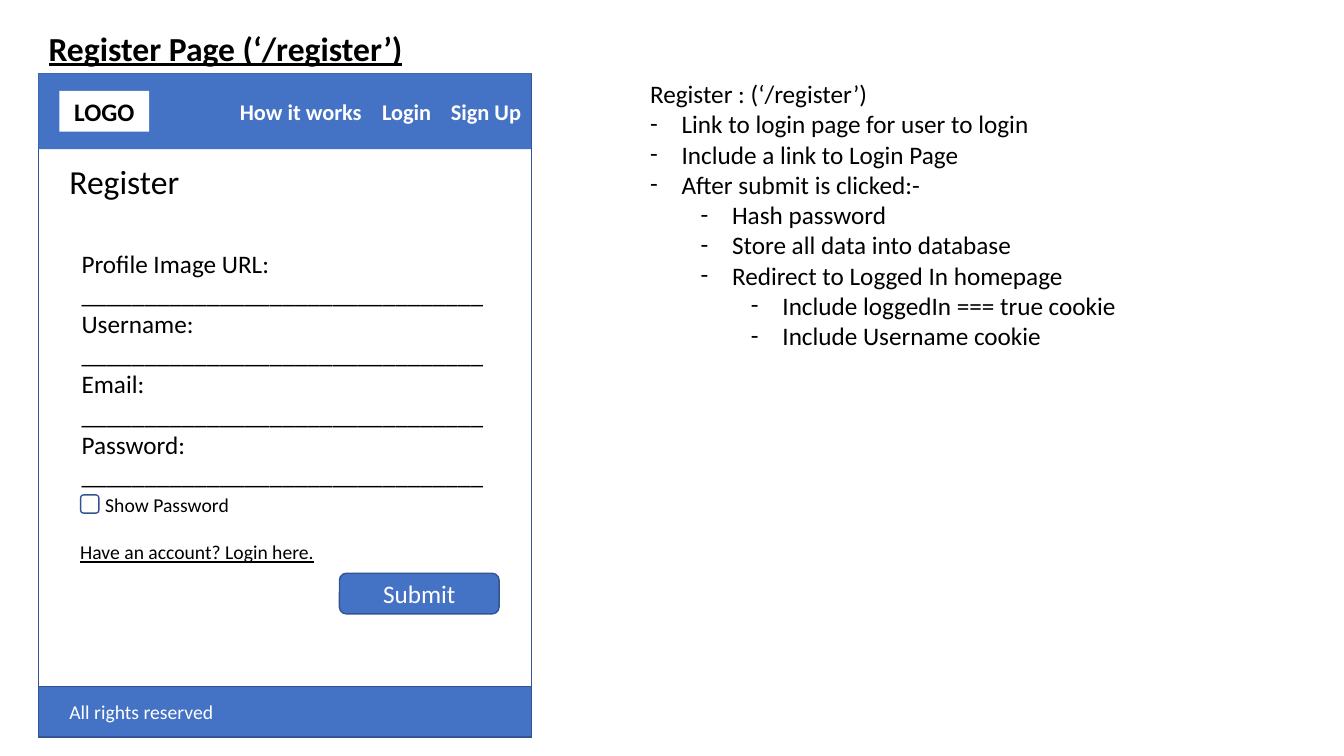
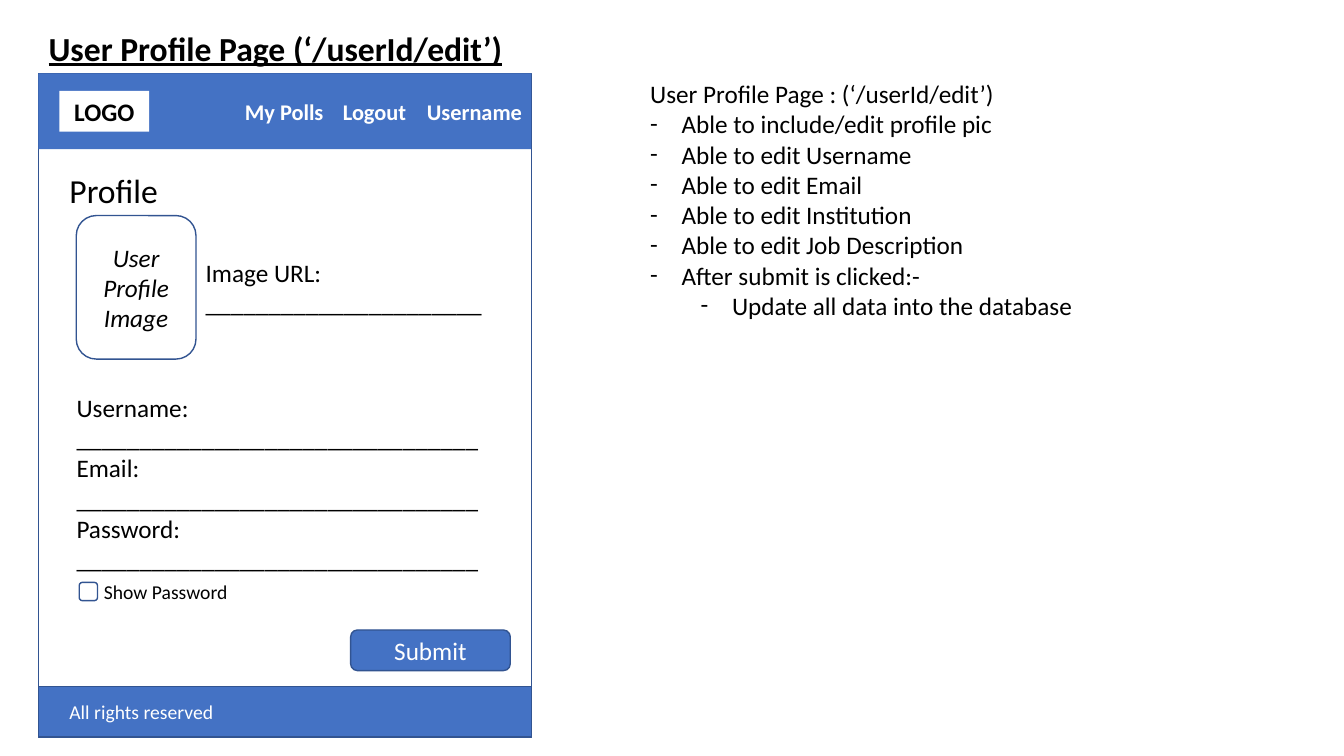
import dataclasses

import lxml.etree
import pptx
import pptx.dml.color
import pptx.enum.shapes
import pptx.enum.text
import pptx.oxml.ns
import pptx.util

Pt = pptx.util.Pt
SHAPES = pptx.enum.shapes.MSO_SHAPE
ALIGN = pptx.enum.text.PP_ALIGN
ANCHOR = pptx.enum.text.MSO_ANCHOR


@dataclasses.dataclass(frozen=True)
class Theme:
    font: str = "Calibri"
    blue: str = "4472C4"
    outline: str = "325491"
    white: str = "FFFFFF"
    black: str = "000000"
    title_size: int = 24
    text_size: int = 18
    menu_size: int = 16
    small_size: int = 14


THEME = Theme()
FRAME_LEFT, FRAME_TOP, FRAME_WIDTH, FRAME_HEIGHT = 27.5, 52.5, 352, 474
HEADER_HEIGHT, FOOTER_HEIGHT = 54, 36
CONTENT_LEFT, CONTENT_WIDTH = 42.5, 322
INSET = 7.2
BULLET_INDENT, LEVEL_INDENT = 22.5, 36


def color(value):
    return pptx.dml.color.RGBColor.from_string(value)


def place(shape, left, top, width, height):
    shape.left, shape.top = Pt(left), Pt(top)
    shape.width, shape.height = Pt(width), Pt(height)


def add_property(paragraph, tag, **attributes):
    properties = paragraph._p.get_or_add_pPr()
    return lxml.etree.SubElement(properties, pptx.oxml.ns.qn(tag), attributes)


def write_text(shape, text, size=THEME.text_size, font_color=THEME.black, bold=False,
               italic=False, underline=False, align=ALIGN.LEFT, anchor=ANCHOR.TOP):
    frame = shape.text_frame
    frame.word_wrap = True
    frame.auto_size = pptx.enum.text.MSO_AUTO_SIZE.NONE
    frame.vertical_anchor = anchor
    lines = text.split("\n")
    for number, line in enumerate(lines):
        paragraph = frame.add_paragraph() if number else frame.paragraphs[0]
        paragraph.alignment = align
        paragraph.space_before = paragraph.space_after = Pt(0)
        paragraph.line_spacing = 1.0
        run = paragraph.add_run()
        run.text = line
        font = run.font
        font.name, font.size = THEME.font, Pt(size)
        font.bold, font.italic, font.underline = bold, italic, underline
        font.color.rgb = color(font_color)
    return frame


def add_label(slide, text, left, top, width, height, **text_format):
    box = slide.shapes.add_textbox(Pt(left), Pt(top), Pt(width), Pt(height))
    write_text(box, text, **text_format)


def add_box(slide, left, top, width, height, kind=SHAPES.RECTANGLE, fill=None, line=None):
    shape = slide.shapes.add_shape(kind, Pt(left), Pt(top), Pt(width), Pt(height))
    shape.shadow.inherit = False
    if fill:
        shape.fill.solid()
        shape.fill.fore_color.rgb = color(fill)
    else:
        shape.fill.background()
    if line:
        shape.line.color.rgb = color(line)
        shape.line.width = Pt(1)
    else:
        shape.line.fill.background()
    return shape


def add_menu(header, items):
    names, lefts = zip(*items)
    frame = write_text(header, "\t".join(names), size=THEME.menu_size,
                       font_color=THEME.white, bold=True, anchor=ANCHOR.MIDDLE)
    frame.margin_left = Pt(lefts[0] - FRAME_LEFT)
    frame.margin_right = Pt(0)
    tabs = add_property(frame.paragraphs[0], "a:tabLst")
    for left in lefts[1:]:
        lxml.etree.SubElement(tabs, pptx.oxml.ns.qn("a:tab"),
                              pos=str(Pt(left - lefts[0])), algn="l")


def add_notes(slide, heading, items):
    body = slide.placeholders[1]
    place(body, 457.2, FRAME_TOP, 435, 30 + 22 * len(items))
    lines = [heading] + [text for level, text in items]
    paragraphs = write_text(body, "\n".join(lines)).paragraphs
    add_property(paragraphs[0], "a:buNone")
    paragraphs[0]._p.pPr.set("marL", "0")
    paragraphs[0]._p.pPr.set("indent", "0")
    for paragraph, (level, text) in zip(paragraphs[1:], items):
        paragraph.level = level
        properties = paragraph._p.pPr
        properties.set("marL", str(Pt(BULLET_INDENT + level * LEVEL_INDENT)))
        properties.set("indent", str(Pt(-BULLET_INDENT)))
        add_property(paragraph, "a:buFont", typeface=THEME.font)
        add_property(paragraph, "a:buChar", char="-")


def add_fields(slide, names, left, top, width, line_length=32):
    text = "\n".join(f"{name}:\n{'_' * line_length}" for name in names)
    add_label(slide, text, left, top, width, INSET + 43.5 * len(names))


def add_checkbox(slide, text, left, top):
    add_box(slide, left, top, 13, 13, kind=SHAPES.ROUNDED_RECTANGLE, line=THEME.outline)
    add_label(slide, text, left + 10.5, top - 5, 115, 24.5, size=THEME.small_size)


def add_button(slide, text, left, top):
    button = add_box(slide, left, top, 114, 29, kind=SHAPES.ROUNDED_RECTANGLE,
                     fill=THEME.blue, line=THEME.outline)
    write_text(button, text, font_color=THEME.white, align=ALIGN.CENTER, anchor=ANCHOR.MIDDLE)


def add_page(presentation, title, menu, heading, heading_top):
    slide = presentation.slides.add_slide(presentation.slide_layouts[1])
    place(slide.shapes.title, FRAME_LEFT, 16, 600, 36)
    write_text(slide.shapes.title, title, size=THEME.title_size, bold=True, underline=True)
    add_box(slide, FRAME_LEFT, FRAME_TOP, FRAME_WIDTH, FRAME_HEIGHT, line=THEME.outline)
    header = add_box(slide, FRAME_LEFT, FRAME_TOP, FRAME_WIDTH, HEADER_HEIGHT, fill=THEME.blue)
    add_menu(header, menu)
    logo = add_box(slide, CONTENT_LEFT, 65, 64, 29, fill=THEME.white)
    write_text(logo, "LOGO", bold=True, align=ALIGN.CENTER, anchor=ANCHOR.MIDDLE)
    add_label(slide, heading, CONTENT_LEFT, heading_top, CONTENT_WIDTH, 36,
              size=THEME.title_size)
    footer_top = FRAME_TOP + FRAME_HEIGHT - FOOTER_HEIGHT
    add_box(slide, FRAME_LEFT, footer_top, FRAME_WIDTH, FOOTER_HEIGHT,
            fill=THEME.blue, line=THEME.outline)
    add_label(slide, "All rights reserved", CONTENT_LEFT, footer_top + 6, 140, 24.5,
              size=THEME.small_size, font_color=THEME.white)
    return slide


def add_register_page(presentation):
    slide = add_page(presentation, "Register Page (‘/register’)",
                     [("How it works", 171.4), ("Login", 272.9), ("Sign Up", 322.1)],
                     "Register", 111.5)
    add_fields(slide, ["Profile Image URL", "Username", "Email", "Password"], 51.2, 173.5, 305)
    add_checkbox(slide, "Show Password", 57.6, 353.5)
    add_label(slide, "Have an account? Login here.", 50.2, 382.3, 258, 24.5,
              size=THEME.small_size, underline=True)
    add_button(slide, "Submit", 242.5, 409.5)
    add_notes(slide, "Register : (‘/register’)", [
        (0, "Link to login page for user to login"),
        (0, "Include a link to Login Page"),
        (0, "After submit is clicked:-"),
        (1, "Hash password"),
        (1, "Store all data into database"),
        (1, "Redirect to Logged In homepage"),
        (2, "Include loggedIn === true cookie"),
        (2, "Include Username cookie"),
    ])


def add_profile_page(presentation):
    slide = add_page(presentation, "User Profile Page (‘/userId/edit’)",
                     [("My Polls", 175), ("Logout", 245), ("Username", 305)],
                     "Profile", 118)
    portrait = add_box(slide, 54.5, 154, 85.5, 102.5, kind=SHAPES.ROUNDED_RECTANGLE,
                       line=THEME.outline)
    write_text(portrait, "User Profile Image", italic=True, align=ALIGN.CENTER,
               anchor=ANCHOR.MIDDLE)
    add_fields(slide, ["Image URL"], 139.8, 180, 217, line_length=22)
    add_fields(slide, ["Username", "Email", "Password"], 47.6, 276.7, 305)
    add_checkbox(slide, "Show Password", 56.6, 416)
    add_button(slide, "Submit", 250.5, 450)
    add_notes(slide, "User Profile Page : (‘/userId/edit’)", [
        (0, "Able to include/edit profile pic"),
        (0, "Able to edit Username"),
        (0, "Able to edit Email"),
        (0, "Able to edit Institution"),
        (0, "Able to edit Job Description"),
        (0, "After submit is clicked:-"),
        (1, "Update all data into the database"),
    ])


def main():
    presentation = pptx.Presentation()
    presentation.slide_width, presentation.slide_height = Pt(960), Pt(540)
    add_register_page(presentation)
    add_profile_page(presentation)
    presentation.save("out.pptx")


if __name__ == "__main__":
    main()
